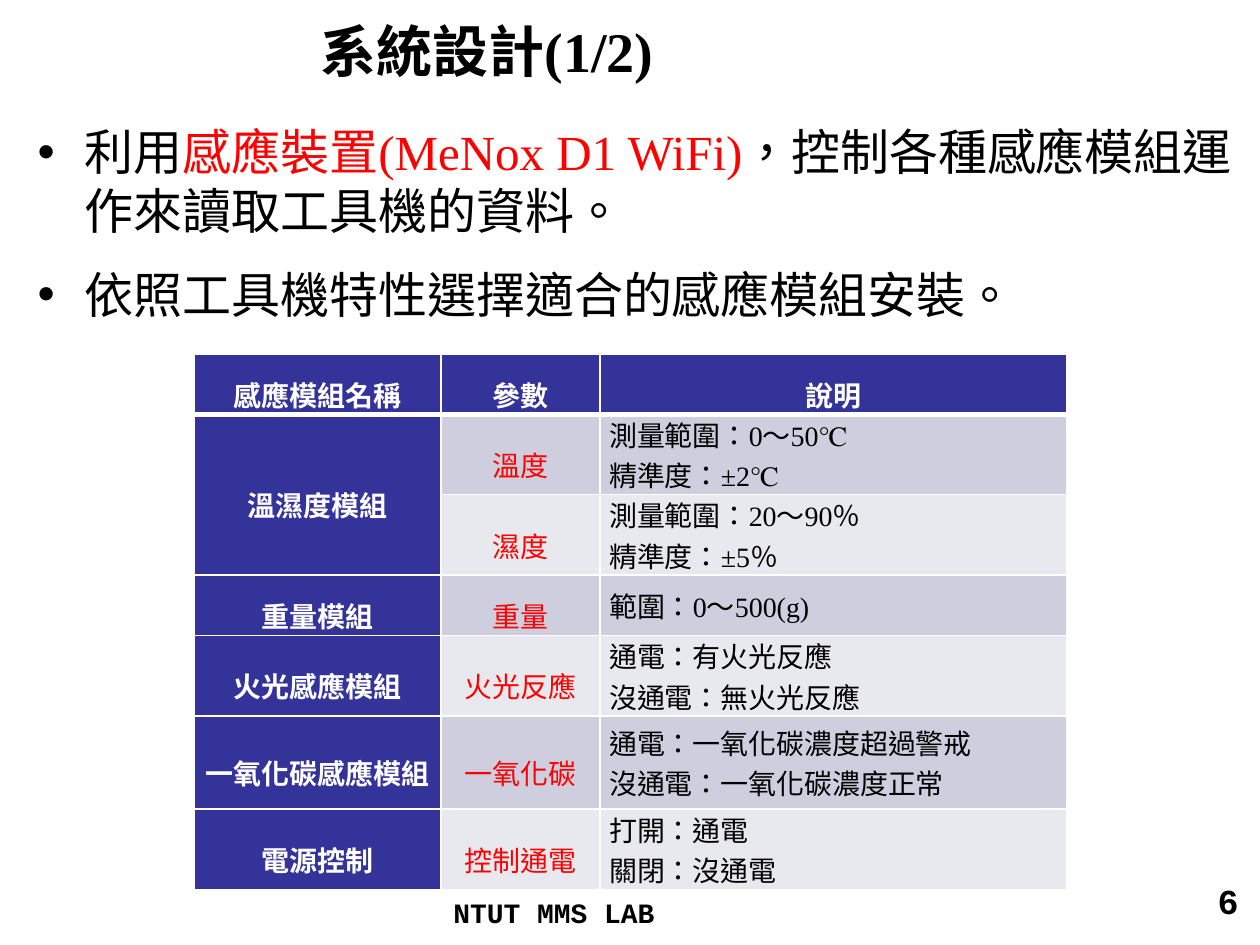
from lxml import etree
from pptx import Presentation
from pptx.dml.color import RGBColor
from pptx.enum.lang import MSO_LANGUAGE_ID
from pptx.enum.text import MSO_ANCHOR, MSO_AUTO_SIZE, PP_ALIGN
from pptx.oxml.ns import qn
from pptx.util import Cm, Pt

LEFT, CENTER, RIGHT = PP_ALIGN.LEFT, PP_ALIGN.CENTER, PP_ALIGN.RIGHT
MIDDLE = MSO_ANCHOR.MIDDLE
NO_AUTOFIT = MSO_AUTO_SIZE.NONE
CHINESE = MSO_LANGUAGE_ID.TRADITIONAL_CHINESE
TITLE_ONLY = 5

COLORS = {
    "black": "000000", "red": "FF0000", "white": "FFFFFF",
    "navy": "333399", "dark band": "CECEDE", "light band": "E8E8EF",
}
SERIF, MONO = "Times New Roman", "Courier New"

TITLE = "系統設計(1/2)"
POINTS = [
    [("利用", "black"), ("感應裝置(MeNox D1 WiFi)", "red"),
     ("，控制各種感應模組運作來讀取工具機的資料。", "black")],
    "依照工具機特性選擇適合的感應模組安裝。",
]
FOOTER, PAGE_NUMBER = "NTUT MMS LAB", "6"

# An empty module name continues the module above.
HEADER = ("感應模組名稱", "參數", ["說明"])
MODULES = [
    ("溫濕度模組", "溫度", ["測量範圍：0〜50℃", "精準度：±2℃"]),
    ("", "濕度", ["測量範圍：20〜90％", "精準度：±5％"]),
    ("重量模組", "重量", ["範圍：0〜500(g)"]),
    ("火光感應模組", "火光反應", ["通電：有火光反應", "沒通電：無火光反應"]),
    ("一氧化碳感應模組", "一氧化碳", ["通電：一氧化碳濃度超過警戒", "沒通電：一氧化碳濃度正常"]),
    ("電源控制", "控制通電", ["打開：通電", "關閉：沒通電"]),
]
COLUMN_WIDTHS = [4.98, 3.21, 9.41]
ROW_HEIGHTS = [1.21, 1.62, 1.62, 1.22, 1.62, 1.88, 1.62]


def rgb(color):
    return RGBColor.from_string(COLORS[color])


def add_bullet(paragraph, indent):
    properties = paragraph._p.get_or_add_pPr()
    properties.set("marL", str(indent))
    properties.set("indent", str(-indent))
    etree.SubElement(properties, qn("a:buFont"), typeface="Arial")
    etree.SubElement(properties, qn("a:buChar"), char="•")


def write(frame, paragraphs, font=SERIF, size=16, color="black", bold=False,
          align=LEFT, line_spacing=None, gap=None, bullet_indent=None):
    """Each paragraph is a string, or a list of (text, color) runs."""
    for index, content in enumerate(paragraphs):
        paragraph = frame.paragraphs[0] if index == 0 else frame.add_paragraph()
        if bullet_indent:
            add_bullet(paragraph, bullet_indent)
        paragraph.alignment = align
        if line_spacing:
            paragraph.line_spacing = line_spacing
        if gap and index:
            paragraph.space_before = Pt(gap)
        runs = [(content, color)] if isinstance(content, str) else content
        for text, run_color in runs:
            run = paragraph.add_run()
            run.text = text
            run.font.language_id = CHINESE
            run.font.name = font
            run.font.size = Pt(size)
            run.font.bold = bold
            run.font.color.rgb = rgb(run_color)


def add_text(slide, box, paragraphs, **text_format):
    shape = slide.shapes.add_textbox(*(Cm(length) for length in box))
    shape.text_frame.word_wrap = True
    write(shape.text_frame, paragraphs, **text_format)


def set_borders(cell, top, bottom):
    """Draw white borders; top and bottom are widths in points."""
    properties = cell._tc.get_or_add_tcPr()
    widths = {"a:lnL": 1, "a:lnR": 1, "a:lnT": top, "a:lnB": bottom}
    for position, (tag, width) in enumerate(widths.items()):
        line = etree.Element(qn(tag), w=str(Pt(width)))
        fill = etree.SubElement(line, qn("a:solidFill"))
        etree.SubElement(fill, qn("a:srgbClr"), val=COLORS["white"])
        properties.insert(position, line)


def fill_cell(cell, row, column, paragraphs):
    heading = row == 0 or column == 0
    cell.margin_left = cell.margin_right = Cm(0.18)
    cell.margin_top = cell.margin_bottom = 0
    cell.vertical_anchor = MIDDLE
    band = "dark band" if row % 2 else "light band"
    cell.fill.solid()
    cell.fill.fore_color.rgb = rgb("navy" if heading else band)
    set_borders(cell, top=3 if row == 1 else 1, bottom=3 if row == 0 else 1)
    if heading:
        text_format = {"color": "white", "bold": True}
    else:
        text_format = {"color": "red" if column == 1 else "black"}
    if heading or column == 1:
        text_format.update(align=CENTER, line_spacing=1.5)
    write(cell.text_frame, paragraphs, **text_format)


def add_module_table(slide):
    rows = [HEADER] + MODULES
    table = slide.shapes.add_table(
        len(rows), len(COLUMN_WIDTHS), Cm(3.91), Cm(7.14),
        Cm(sum(COLUMN_WIDTHS)), Cm(sum(ROW_HEIGHTS))).table
    for column, width in zip(table.columns, COLUMN_WIDTHS):
        column.width = Cm(width)
    for row, height in zip(table.rows, ROW_HEIGHTS):
        row.height = Cm(height)
    for row, (name, parameter, details) in enumerate(rows):
        names = [name] if name else []
        for column, paragraphs in enumerate((names, [parameter], details)):
            fill_cell(table.cell(row, column), row, column, paragraphs)
        if not name:
            table.cell(row - 1, 0).merge(table.cell(row, 0))


def main():
    presentation = Presentation()
    presentation.slide_width, presentation.slide_height = Cm(25.4), Cm(19.05)
    slide = presentation.slides.add_slide(presentation.slide_layouts[TITLE_ONLY])

    title = slide.shapes.title
    title.left, title.top, title.width, title.height = Cm(6.2), 0, Cm(19.2), Cm(2.02)
    title.text_frame.auto_size = NO_AUTOFIT
    title.text_frame.vertical_anchor = MIDDLE
    write(title.text_frame, [TITLE], size=32, bold=True)

    add_text(slide, (0.51, 2.33, 24.61, 14.78), POINTS,
             size=28, gap=14.2, bullet_indent=Cm(0.95))
    add_text(slide, (19.3, 17.6, 5.92, 1.32), [PAGE_NUMBER],
             font=MONO, size=20, bold=True, align=RIGHT)
    add_text(slide, (8.89, 17.93, 8.23, 0.81), [FOOTER],
             font=MONO, size=16, bold=True)
    add_module_table(slide)
    presentation.save("out.pptx")


if __name__ == "__main__":
    main()
